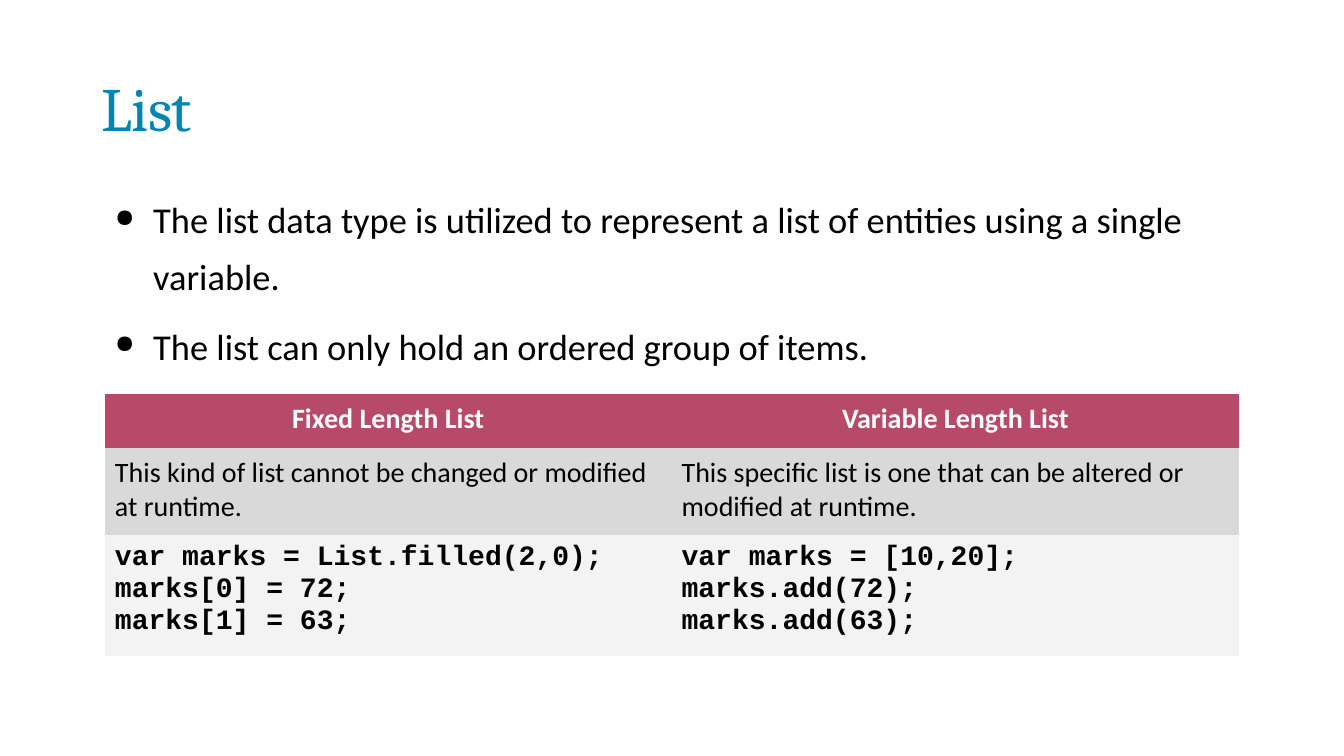
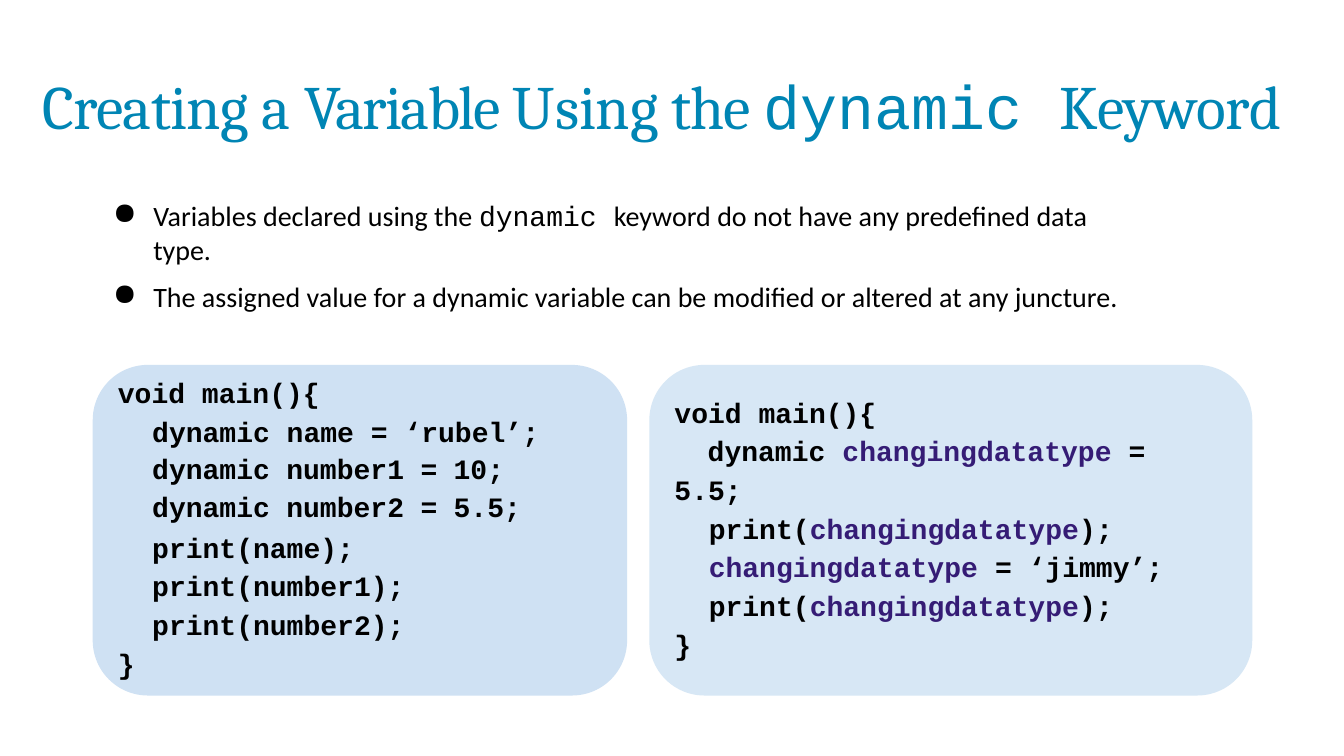
from lxml import etree
from pptx import Presentation
from pptx import util as u
from pptx.dml.color import RGBColor
from pptx.enum import shapes, text
from pptx.oxml import ns

BLUE = RGBColor(0x00, 0x85, 0xB4)
BLACK = RGBColor(0x00, 0x00, 0x00)
WHITE = RGBColor(0xFF, 0xFF, 0xFF)
PURPLE = RGBColor(0x35, 0x1C, 0x75)
ROSE = RGBColor(0xB7, 0x4A, 0x69)
GREY = RGBColor(0xD9, 0xD9, 0xD9)
PALE_GREY = RGBColor(0xF3, 0xF3, 0xF3)
SKY = RGBColor(0xCF, 0xE1, 0xF3)
PALE_SKY = RGBColor(0xD7, 0xE7, 0xF5)

HEADING_FONT = "Cambria"
BODY_FONT = "Calibri"
CODE_FONT = "Courier New"
PLAIN_TABLE_STYLE = "{2D5ABB26-0587-4C30-8999-92F81FD0307C}"

CENTER = text.PP_ALIGN.CENTER
CODE = dict(font=CODE_FONT, bold=True)


def line(*runs, **style):
    return runs, style


def write_paragraph(paragraph, runs, font=BODY_FONT, size=20, color=BLACK,
                    bold=False, spacing=0, align=None, before=0, leading=None,
                    indent=0, first_indent=0, bullet=None):
    paragraph.alignment = align
    paragraph.space_before = u.Pt(before)
    paragraph.line_spacing = leading
    properties = paragraph._p.get_or_add_pPr()
    properties.set("marL", str(u.Inches(indent)))
    properties.set("indent", str(u.Inches(first_indent)))
    if bullet:
        etree.SubElement(properties, ns.qn("a:buSzPct"), val=str(bullet * 1000))
        etree.SubElement(properties, ns.qn("a:buChar"), char="●")
    base = dict(font=font, size=size, color=color, bold=bold, spacing=spacing)
    for item in runs:
        words, changes = (item, {}) if isinstance(item, str) else item
        look = {**base, **changes}
        run = paragraph.add_run()
        run.text = words
        run.font.name = look["font"]
        run.font.size = u.Pt(look["size"])
        run.font.color.rgb = look["color"]
        run.font.bold = look["bold"]
        if look["spacing"]:
            run._r.get_or_add_rPr().set("spc", str(round(look["spacing"] * 100)))


def write(frame, lines, **style):
    for index, (runs, changes) in enumerate(lines):
        paragraph = frame.add_paragraph() if index else frame.paragraphs[0]
        write_paragraph(paragraph, runs, **{**style, **changes})


class Deck:
    def __init__(self):
        self.presentation = Presentation()
        self.presentation.slide_width = u.Inches(13.33)
        self.presentation.slide_height = u.Inches(7.5)
        self.slide = None

    def new_slide(self):
        self.slide = self.presentation.slides.add_slide(
            self.presentation.slide_layouts[6])

    def text_box(self, left, top, width, height, lines, margin_top=0.01, **style):
        box = self.slide.shapes.add_textbox(
            *map(u.Inches, (left, top, width, height)))
        frame = box.text_frame
        frame.word_wrap = True
        frame.margin_left = frame.margin_right = frame.margin_bottom = 0
        frame.margin_top = u.Inches(margin_top)
        write(frame, lines, **style)

    def title(self, left, top, width, *runs):
        self.text_box(left, top, width, 0.77, [line(*runs)], font=HEADING_FONT,
                      size=44, color=BLUE, spacing=-0.5, before=0.9, indent=0.01)

    def code(self, left, top, width, height, lines, **style):
        self.text_box(left, top, width, height, lines,
                      **{**CODE, "indent": 0.01, **style})

    def panel(self, left, width, color):
        shape = self.slide.shapes.add_shape(
            shapes.MSO_SHAPE.ROUNDED_RECTANGLE,
            *map(u.Inches, (left, 3.62, width, 3.28)))
        shape.shadow.inherit = False
        shape.fill.solid()
        shape.fill.fore_color.rgb = color
        shape.line.fill.background()

    def table(self, left, top, widths, heights):
        frame = self.slide.shapes.add_table(
            len(heights), len(widths),
            *map(u.Inches, (left, top, sum(widths), sum(heights))))
        frame.element.xpath(".//a:tableStyleId")[0].text = PLAIN_TABLE_STYLE
        table = frame.table
        table.first_row = table.horz_banding = False
        for column, width in zip(table.columns, widths):
            column.width = u.Inches(width)
        for row, height in zip(table.rows, heights):
            row.height = u.Inches(height)
        return table

    def cell(self, cell, lines, fill=None, margin_top=0, **style):
        cell.margin_left = cell.margin_right = cell.margin_bottom = 0
        cell.margin_top = u.Inches(margin_top)
        if fill is None:
            cell.fill.background()
        else:
            cell.fill.solid()
            cell.fill.fore_color.rgb = fill
        write(cell.text_frame, lines, **style)


def build_list_slide(deck):
    deck.new_slide()
    deck.title(1, 0.68, 3, "List")
    deck.text_box(1.13, 1.82, 10.66, 1.72, [
        line("The list data type is utilized to represent a list of entities "
             "using a single variable.", before=1),
        line("The list can only hold an ordered group of items.", before=9.3),
    ], size=26, leading=1.3, indent=0.39, first_indent=-0.38, bullet=69)

    columns = [
        ("Fixed Length List",
         "This kind of list cannot be changed or modified at runtime.",
         ["var marks = List.filled(2,0);", "marks[0] = 72;", "marks[1] = 63;"]),
        ("Variable Length List",
         "This specific list is one that can be altered or modified at runtime.",
         ["var marks = [10,20];", "marks.add(72);", "marks.add(63);"]),
    ]
    table = deck.table(1.04, 3.91, [5.55, 5.7], [0.53, 0.87, 1.2])
    for index, (heading, description, statements) in enumerate(columns):
        indent = (0.1, 0.17)[index]
        deck.cell(table.cell(0, index), [line(heading)], ROSE, 0.08,
                  color=WHITE, bold=True, align=CENTER, before=5.9, indent=0.07)
        deck.cell(table.cell(1, index), [line(description)], GREY, 0.08,
                  before=6, indent=indent)
        first, *rest = statements
        deck.cell(table.cell(2, index),
                  [line(first, before=4.8)] + [line(words) for words in rest],
                  PALE_GREY, 0.07, indent=indent, **CODE)


def build_dynamic_slide(deck):
    deck.new_slide()
    deck.title(0.41, 0.66, 12.91, "Creating ", ("a ", dict(spacing=0)),
               ("Variable ", dict(spacing=-1.2)), ("Using ", dict(spacing=-0.1)),
               ("the ", dict(spacing=-0.8)),
               ("dynamic ", dict(font=CODE_FONT, spacing=0)),
               ("Keyword", dict(spacing=-0.1)))
    deck.text_box(1.1, 1.85, 10.28, 1.3, [
        line("Variables declared using the ", ("dynamic ", dict(font=CODE_FONT)),
             "keyword do not have any predefined data type.", before=8.4),
        line("The assigned value for a dynamic variable can be modified or "
             "altered at any juncture.", before=9.7),
    ], margin_top=0.12, indent=0.42, first_indent=-0.4, bullet=108)

    deck.panel(0.92, 5.3, SKY)
    deck.code(1.16, 3.67, 4.5, 0.8, [
        line("void main(){", before=4.6),
        line("dynamic name = ‘rubel’;", before=3.6, indent=0.35),
    ], margin_top=0.06)
    table = deck.table(1.48, 4.55, [1.28, 1.33, 0.33, 0.8], [0.35, 0.35])
    declarations = [("number1", "10;", 20.6), ("number2", "5.5;", 23.1)]
    for row, (name, value, leading) in enumerate(declarations):
        entries = [("dynamic", None, 0.03), (name, CENTER, 0),
                   ("=", CENTER, 0), (value, None, 0.08)]
        for column, (words, align, indent) in enumerate(entries):
            deck.cell(table.cell(row, column), [line(words)], align=align,
                      indent=indent, leading=u.Pt(leading), **CODE)
    deck.code(1.5, 5.2, 2.8, 1.18, [
        line(f"print({name});")
        for name in ("name", "number1", "number2")
    ], leading=1.15)
    deck.code(1.16, 6.4, 0.3, 0.36, [line("}", before=0.9)])

    deck.panel(6.44, 5.98, PALE_SKY)
    variable = ("changingdatatype", dict(color=PURPLE))
    show = line("print(", variable, ");", indent=0.35, leading=1.15)
    deck.code(6.68, 3.86, 4.86, 2.71, [
        line("void main(){", before=4.6),
        line("dynamic ", variable, " = 5.5;", first_indent=0.33, leading=1.15),
        show,
        line(variable, " = ‘jimmy’;", indent=0.35, leading=1.15),
        show,
        line("}", before=3.6),
    ], margin_top=0.06)


def main():
    deck = Deck()
    build_list_slide(deck)
    build_dynamic_slide(deck)
    deck.presentation.save("out.pptx")


if __name__ == "__main__":
    main()
